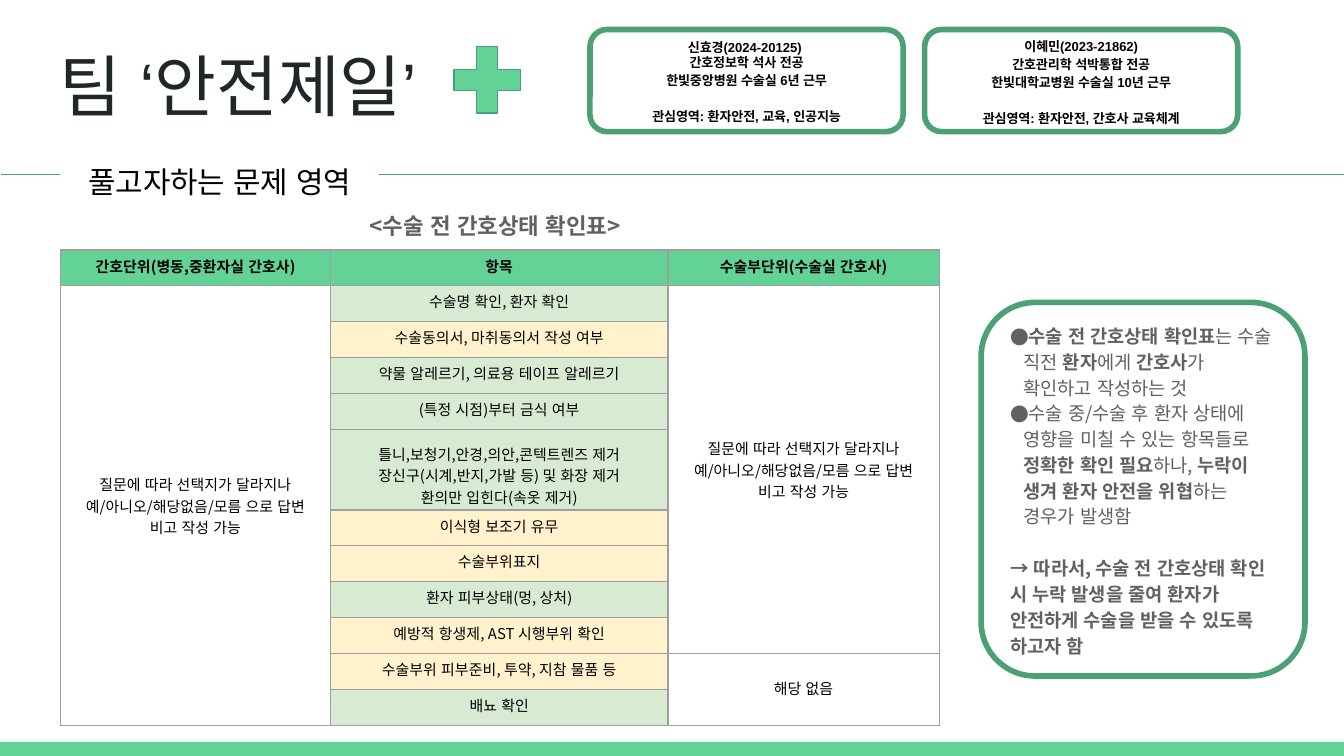
from dataclasses import dataclass
from typing import NamedTuple

from lxml.etree import SubElement
from pptx import Presentation
from pptx.dml.color import RGBColor
from pptx.enum.lang import MSO_LANGUAGE_ID
from pptx.enum.shapes import MSO_CONNECTOR, MSO_SHAPE
from pptx.enum.text import MSO_ANCHOR, MSO_AUTO_SIZE, PP_ALIGN
from pptx.oxml import parse_xml
from pptx.oxml.ns import nsdecls, qn
from pptx.util import Inches, Pt


@dataclass(frozen=True)
class Theme:
    green: str = "63D297"
    outline: str = "4BA173"
    mint: str = "D9EAD3"
    cream: str = "FFF2CC"
    white: str = "FFFFFF"
    black: str = "000000"
    ink: str = "202729"
    gray: str = "616161"
    border: str = "9E9E9E"
    sans: str = "Arial"
    korean: str = "Noto Sans CJK KR"
    title: int = 36
    section: int = 16
    caption: int = 12
    body: int = 10
    table: int = 8
    card: int = 7


class Box(NamedTuple):
    x: float
    y: float
    w: float
    h: float

    def emu(self):
        return [Inches(v) for v in self]


class Member(NamedTuple):
    frame: Box
    text: Box
    lines: list[str]
    spacings: list[float]


class Item(NamedTuple):
    lines: list[str]
    fill: str


class Run(NamedTuple):
    text: str
    bold: bool = False


T = Theme()
MEMBERS = [
    Member(Box(4.39, 0.22, 2.33, 0.76), Box(4.42, 0.19, 2.27, 0.84),
           ["신효경(2024-20125) ", "간호정보학 석사 전공", "한빛중앙병원 수술실 6년 근무",
            "관심영역: 환자안전, 교육, 인공지능"], [1, 1, 1.15, 1.15]),
    Member(Box(6.88, 0.22, 2.33, 0.76), Box(6.91, 0.17, 2.27, 0.88),
           ["이혜민(2023-21862)", "간호관리학 석박통합 전공", "한빛대학교병원 수술실 10년 근무",
            "관심영역: 환자안전, 간호사 교육체계"], [1.15] * 4),
]
HEADERS = ["간호단위(병동,중환자실 간호사)", "항목", "수술부단위(수술실 간호사)"]
ANSWER = ["질문에 따라 선택지가 달라지나", "예/아니오/해당없음/모름 으로 답변", "비고 작성 가능"]
ITEMS = [
    Item(["수술명 확인, 환자 확인"], T.mint),
    Item(["수술동의서, 마취동의서 작성 여부"], T.cream),
    Item(["약물 알레르기, 의료용 테이프 알레르기"], T.mint),
    Item(["(특정 시점)부터 금식 여부"], T.mint),
    Item(["틀니,보청기,안경,의안,콘텍트렌즈 제거", "장신구(시계,반지,가발 등) 및 화장 제거",
          "환의만 입힌다(속옷 제거)"], T.mint),
    Item(["이식형 보조기 유무"], T.cream),
    Item(["수술부위표지"], T.cream),
    Item(["환자 피부상태(멍, 상처)"], T.mint),
    Item(["예방적 항생제, AST 시행부위 확인"], T.cream),
    Item(["수술부위 피부준비, 투약, 지참 물품 등"], T.cream),
    Item(["배뇨 확인"], T.mint),
]
BULLETS = [
    [Run("수술 전 간호상태 확인표", True), Run("는 수술 직전 "), Run("환자", True),
     Run("에게 "), Run("간호사", True), Run("가 확인하고 작성하는 것")],
    [Run("수술 중/수술 후 환자 상태에 영향을 미칠 수 있는 항목들로 "),
     Run("정확한 확인 필요", True), Run("하나, "),
     Run("누락이 생겨 환자 안전을 위협", True), Run("하는 경우가 발생함")],
]
CONCLUSION = "→ 따라서, 수술 전 간호상태 확인 시 누락 발생을 줄여 환자가 안전하게 수술을 받을 수 있도록 하고자 함"


def rgb(color: str) -> RGBColor:
    return RGBColor.from_string(color)


def style(p, size, font, color, bold=None, align=PP_ALIGN.CENTER, spacing=1.0):
    p.alignment, p.line_spacing = align, spacing
    p.font.size, p.font.name, p.font.bold = Pt(size), font, bold
    p.font.color.rgb = rgb(color)
    latin = p._p.pPr.find(qn("a:defRPr")).find(qn("a:latin"))
    for tag in ("cs", "ea"):
        latin.addnext(parse_xml(f'<a:{tag} {nsdecls("a")} typeface="{font}"/>'))
    for r in p.runs:
        r.font.language_id = MSO_LANGUAGE_ID.KOREAN


def frame(sp, anchor=MSO_ANCHOR.TOP, grow=False):
    tf = sp.text_frame
    tf.word_wrap = True
    tf.auto_size = MSO_AUTO_SIZE.SHAPE_TO_FIT_TEXT if grow else MSO_AUTO_SIZE.NONE
    tf.vertical_anchor = anchor
    tf.margin_left = tf.margin_right = tf.margin_top = tf.margin_bottom = Inches(0.1)
    return tf


def add_box(s, kind, box: Box, fill: str, line: float = 0):
    sp = s.shapes.add_shape(kind, *box.emu())
    sp.shadow.inherit = False
    sp.fill.solid()
    sp.fill.fore_color.rgb = rgb(fill)
    if line:
        sp.line.color.rgb, sp.line.width = rgb(T.outline), Pt(line)
    else:
        sp.line.fill.background()
    return sp


def add_member(s, m: Member):
    add_box(s, MSO_SHAPE.ROUNDED_RECTANGLE, m.frame, T.white, 3)
    tf = frame(s.shapes.add_textbox(*m.text.emu()), grow=True)
    tf.text = "\n".join(m.lines)
    for p, spacing in zip(tf.paragraphs, m.spacings):
        style(p, T.card, T.sans, T.black, True, spacing=spacing)
    tf.paragraphs[-1].space_before = Pt(9.6)


def set_cell(cell, lines: list[str], fill: str = "", bold=False, spacing=1.0):
    cell.text = "\n".join(lines)
    cell.vertical_anchor = MSO_ANCHOR.MIDDLE
    cell.margin_left = cell.margin_right = cell.margin_top = cell.margin_bottom = Inches(0.1)
    for p in cell.text_frame.paragraphs:
        style(p, T.table, T.korean, T.black, bold, spacing=spacing)
    if fill:
        cell.fill.solid()
        cell.fill.fore_color.rgb = rgb(fill)
    else:
        cell.fill.background()
    tc_pr = cell._tc.get_or_add_tcPr()
    for i, side in enumerate(("lnL", "lnR", "lnT", "lnB")):
        tc_pr.insert(i, parse_xml(
            f'<a:{side} {nsdecls("a")} w="{Pt(0.75)}"><a:solidFill>'
            f'<a:srgbClr val="{T.border}"/></a:solidFill></a:{side}>'))


def add_checklist(s):
    rows = len(ITEMS) + 1
    heights = [0.25] + [0.56 if len(item.lines) > 1 else 0.25 for item in ITEMS]
    tb = s.shapes.add_table(rows, 3, *Box(0.45, 1.86, 6.54, sum(heights)).emu()).table
    tb.first_row = tb.horz_banding = False
    for col, width in zip(tb.columns, (2.01, 2.51, 2.02)):
        col.width = Inches(width)
    for row, height in zip(tb.rows, heights):
        row.height = Inches(height)
    for c, text in enumerate(HEADERS):
        set_cell(tb.cell(0, c), [text], T.green, True, 0.5)
    sides = {(1, 0): (ANSWER, 1.0), (1, 2): (ANSWER, 1.0), (rows - 2, 2): (["해당 없음"], 0.75)}
    for r, item in enumerate(ITEMS, 1):
        set_cell(tb.cell(r, 1), item.lines, item.fill, spacing=1.0 if len(item.lines) > 1 else 0.5)
        for c in (0, 2):
            lines, spacing = sides.get((r, c), ([], 0.5))
            set_cell(tb.cell(r, c), lines, spacing=spacing)
    for c, first, last in ((0, 1, rows - 1), (2, 1, rows - 3), (2, rows - 2, rows - 1)):
        tb.cell(first, c).merge(tb.cell(last, c))


def add_bullet(p):
    p_pr = p._p.get_or_add_pPr()
    p_pr.set("marL", str(Inches(0.1)))
    p_pr.set("indent", str(Inches(-0.17)))
    for xml in (f'<a:buClr {nsdecls("a")}><a:srgbClr val="{T.gray}"/></a:buClr>',
                f'<a:buFont {nsdecls("a")} typeface="{T.korean}"/>',
                f'<a:buChar {nsdecls("a")} char="●"/>'):
        p_pr.find(qn("a:defRPr")).addprevious(parse_xml(xml))


def add_summary(s):
    sp = add_box(s, MSO_SHAPE.ROUNDED_RECTANGLE, Box(7.3, 2.25, 2.41, 2.78), T.white, 3)
    tf = frame(sp, MSO_ANCHOR.MIDDLE)
    for i, runs in enumerate(BULLETS + [[Run(CONCLUSION, True)]]):
        p = tf.add_paragraph() if i else tf.paragraphs[0]
        for run in runs:
            r = p.add_run()
            r.text, r.font.bold = run.text, run.bold
        style(p, T.body, T.korean, T.gray, align=PP_ALIGN.LEFT, spacing=1.15)
        if i < len(BULLETS):
            add_bullet(p)
        else:
            p.space_before = Pt(14)


def add_heading(sp, text: str, size, font, color, bold=False, spacing=1.0, align=PP_ALIGN.CENTER, grow=False):
    tf = frame(sp, grow=grow)
    tf.text = text
    style(tf.paragraphs[0], size, font, color, bold, align, spacing)


def main():
    prs = Presentation()
    prs.slide_width = Inches(10)
    prs.slide_height = prs.slide_width * 9 // 16
    s = prs.slides.add_slide(prs.slide_layouts[5])
    title = s.shapes.title
    title.left, title.top, title.width, title.height = Box(0.34, 0.23, 9.32, 0.63).emu()
    add_heading(title, "팀 ‘안전제일’", T.title, T.sans, T.ink, align=PP_ALIGN.LEFT)
    add_box(s, MSO_SHAPE.RECTANGLE, Box(0, 5.52, 10, 0.11), T.green)
    for member in MEMBERS:
        add_member(s, member)
    add_box(s, MSO_SHAPE.MATH_PLUS, Box(3.29, 0.26, 0.67, 0.67), T.green, 0.75)
    rule = s.shapes.add_connector(MSO_CONNECTOR.STRAIGHT, Inches(0.01), Inches(1.3), Inches(10.02), Inches(1.3))
    rule.line.color.rgb, rule.line.width = rgb(T.outline), Pt(0.75)
    SubElement(rule._element.spPr, qn("a:effectLst"))
    section = add_box(s, MSO_SHAPE.RECTANGLE, Box(0.45, 1.08, 2.37, 0.51), T.white)
    add_heading(section, "풀고자하는 문제 영역", T.section, T.sans, T.black, spacing=1.15, grow=True)
    add_checklist(s)
    caption = s.shapes.add_textbox(*Box(2.37, 1.48, 2.63, 0.31).emu())
    add_heading(caption, "<수술 전 간호상태 확인표>", T.caption, T.korean, T.gray, True)
    add_summary(s)
    prs.save("out.pptx")


if __name__ == "__main__":
    main()
